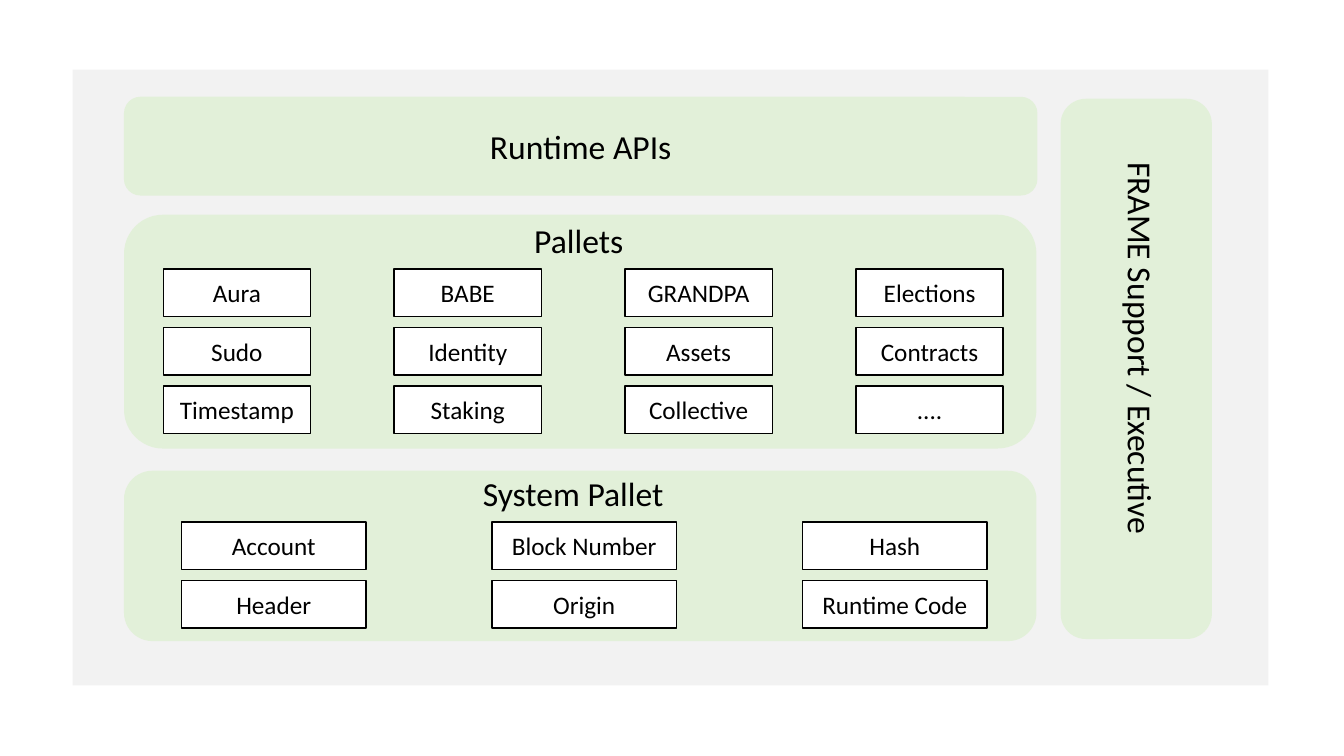
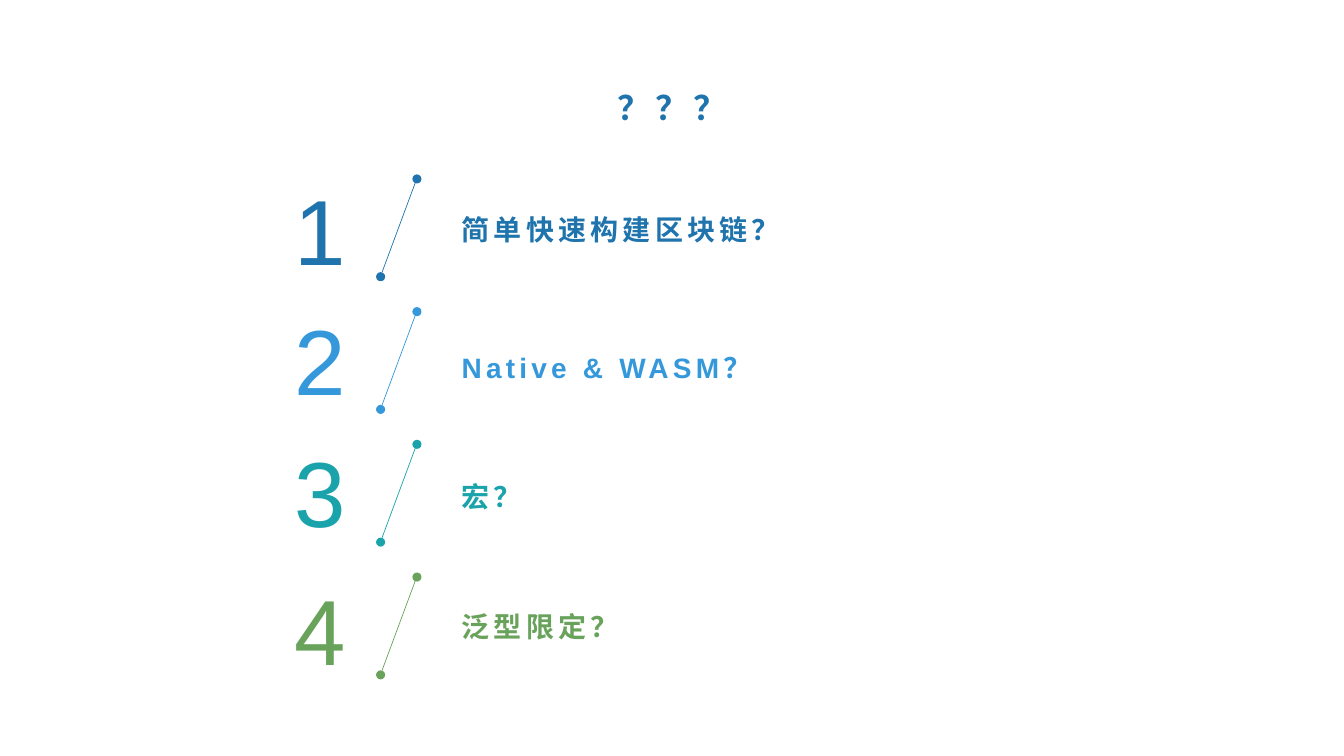
from dataclasses import dataclass

from lxml import etree
from pptx import Presentation
from pptx.dml.color import RGBColor
from pptx.enum import lang, shapes, text
from pptx.oxml import ns
from pptx.util import Inches, Pt


@dataclass(frozen=True)
class Theme:
    ink: str = "000000"
    white: str = "FFFFFF"
    backdrop: str = "F2F2F2"
    panel: str = "E2F0D9"
    title: str = "1F74AD"
    diagram_font: str = "Calibri"
    agenda_font: str = "Arial"
    heading: int = 24
    label: int = 18
    item: int = 20
    number: int = 66


T = Theme()
RECT = shapes.MSO_SHAPE.RECTANGLE
ROUND = shapes.MSO_SHAPE.ROUNDED_RECTANGLE
OVAL = shapes.MSO_SHAPE.OVAL
CENTER = text.PP_ALIGN.CENTER
MIDDLE = text.MSO_ANCHOR.MIDDLE
BOTTOM = text.MSO_ANCHOR.BOTTOM

BACKDROP = (0.72, 0.69, 11.86, 6.11)
API_PANEL = ("Runtime APIs", (1.23, 0.96, 9.06, 0.98))
SIDE_PANEL = ("FRAME Support / Executive", (10.52, 0.98, 1.5, 5.36), (10.97, 1.51, 0.6, 4.29))
CELL_H, ROW_STEP = 0.47, 0.58
GRID_PANELS = [
    {
        "title": "Pallets", "box": (1.23, 2.13, 9.05, 2.32), "title_box": (5.2, 2.13, 1.19, 0.5),
        "origin": (1.62, 2.67), "cell_w": 1.46, "col_step": 2.29,
        "rows": [
            ("Aura", "BABE", "GRANDPA", "Elections"),
            ("Sudo", "Identity", "Assets", "Contracts"),
            ("Timestamp", "Staking", "Collective", "...."),
        ],
    },
    {
        "title": "System Pallet", "box": (1.23, 4.67, 9.05, 1.69), "title_box": (4.69, 4.64, 2.27, 0.5),
        "origin": (1.8, 5.18), "cell_w": 1.83, "col_step": 3.08,
        "rows": [
            ("Account", "Block Number", "Hash"),
            ("Header", "Origin", "Runtime Code"),
        ],
    },
]

AGENDA_TITLE = "？？？"
# text, colour, top of number, top of text
AGENDA = [
    ("简单快速构建区块链？", "1F74AD", 1.56, 2.0),
    ("Native & WASM？", "3498DB", 2.85, 3.37),
    ("宏？", "1AA3AA", 4.16, 4.65),
    ("泛型限定？", "69A35B", 5.53, 5.94),
]
FIRST_DOT, LAST_DOT, DOT = 1.73, 5.68, 0.09


def inches(values):
    return [Inches(v) for v in values]


def rgb(value):
    return RGBColor.from_string(value)


def write(sp, words, size, font, color=T.ink, bold=False, align=None, anchor=None,
          spacing=None, line_spacing=None, wrap=True):
    tf = sp.text_frame
    tf.word_wrap = wrap
    if anchor is not None:
        tf.vertical_anchor = anchor
    p = tf.paragraphs[0]
    p.alignment = align
    p.line_spacing = line_spacing
    r = p.add_run()
    r.text = words
    r.font.name, r.font.size, r.font.bold = font, Pt(size), bold
    r.font.color.rgb = rgb(color)
    if spacing:
        r.font.language_id = lang.MSO_LANGUAGE_ID.SIMPLIFIED_CHINESE
        r.font._element.set("spc", str(round(spacing * 100)))
    return tf


def add_box(parent, kind, at, fill, line=None):
    sp = parent.shapes.add_shape(kind, *inches(at))
    sp.shadow.inherit = False
    sp.fill.solid()
    sp.fill.fore_color.rgb = rgb(fill)
    if line:
        sp.line.color.rgb = rgb(line)
        sp.line.width = Pt(1)
    else:
        sp.line.fill.background()
    return sp


def add_text(parent, at, words, size, font, **style):
    return write(parent.shapes.add_textbox(*inches(at)), words, size, font, **style)


def add_line(s, start, end, color):
    line = s.shapes.add_connector(shapes.MSO_CONNECTOR.STRAIGHT, *inches(start + end))
    line.line.color.rgb = rgb(color)
    line.line.width = Pt(0.5)
    etree.SubElement(line._element.spPr, ns.qn("a:effectLst"))


def add_grid_panel(s, panel):
    group = s.shapes.add_group_shape()
    add_box(group, ROUND, panel["box"], T.panel)
    add_text(group, panel["title_box"], panel["title"], T.heading, T.diagram_font, wrap=False)
    left, top = panel["origin"]
    for row, names in enumerate(panel["rows"]):
        for col, name in enumerate(names):
            at = (left + col * panel["col_step"], top + row * ROW_STEP, panel["cell_w"], CELL_H)
            cell = add_box(group, RECT, at, T.white, T.ink)
            write(cell, name, T.label, T.diagram_font, align=CENTER, anchor=MIDDLE)


def build_architecture(s):
    add_box(s, RECT, BACKDROP, T.backdrop)
    words, at = API_PANEL
    write(add_box(s, ROUND, at, T.panel), words, T.heading, T.diagram_font,
          align=CENTER, anchor=MIDDLE)
    for panel in GRID_PANELS:
        add_grid_panel(s, panel)
    words, at, text_at = SIDE_PANEL
    group = s.shapes.add_group_shape()
    add_box(group, ROUND, at, T.panel)
    tf = add_text(group, text_at, words, T.heading, T.diagram_font, wrap=False)
    tf._txBody.bodyPr.set("vert", "eaVert")


def build_agenda(s):
    add_text(s, (2.2, 0.68, 8.94, 0.69), AGENDA_TITLE, T.heading, T.agenda_font, color=T.title,
             bold=True, align=CENTER, anchor=MIDDLE, spacing=3, line_spacing=1.2)
    step = (LAST_DOT - FIRST_DOT) / (len(AGENDA) - 1)
    for i, (words, color, number_top, text_top) in enumerate(AGENDA):
        add_text(s, (2.82, number_top, 0.73, 1.22), str(i + 1), T.number, T.agenda_font,
                 color=color, spacing=1.5, line_spacing=1.1)
        y = FIRST_DOT + i * step
        add_line(s, (3.79, y + 0.97), (4.12, y + 0.08), color)
        for dot_x, dot_y in ((4.09, y), (3.73, y + 0.97)):
            add_box(s, OVAL, (dot_x, dot_y, DOT, DOT), color)
        tf = add_text(s, (4.48, text_top, 6.03, 0.44), words, T.item, T.agenda_font, color=color,
                      bold=True, anchor=BOTTOM, spacing=3, line_spacing=1.1)
        tf.margin_bottom = 0


def main():
    prs = Presentation()
    prs.slide_width, prs.slide_height = Inches(13.33), Inches(7.5)
    for build in (build_architecture, build_agenda):
        build(prs.slides.add_slide(prs.slide_layouts[6]))
    prs.save("out.pptx")


if __name__ == "__main__":
    main()
